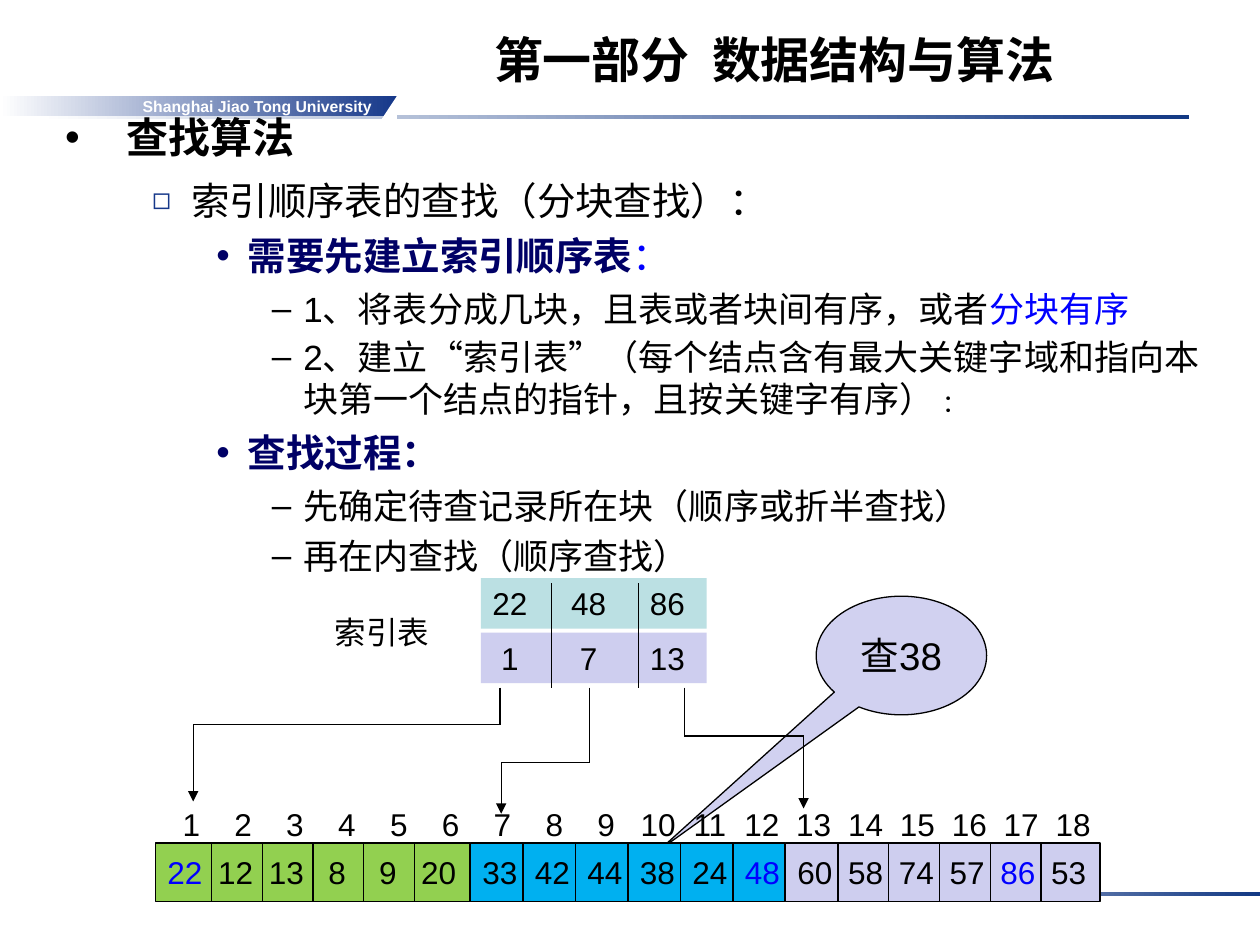
from lxml.etree import SubElement
from pptx import Presentation
from pptx.dml.color import RGBColor
from pptx.enum.shapes import MSO_CONNECTOR, MSO_SHAPE as Shape
from pptx.enum.text import MSO_ANCHOR as Anchor, PP_ALIGN as Align
from pptx.oxml.ns import qn
from pptx.util import Pt

BLACK = RGBColor(0x00, 0x00, 0x00)
WHITE = RGBColor(0xFF, 0xFF, 0xFF)
NAVY = RGBColor(0x16, 0x38, 0x8A)
RULE = RGBColor(0x13, 0x39, 0x84)
INDIGO = RGBColor(0x00, 0x00, 0x66)
BLUE = RGBColor(0x00, 0x00, 0xFF)
GREEN = RGBColor(0x92, 0xD0, 0x50)
SKY = RGBColor(0x00, 0xB0, 0xF0)
LILAC = RGBColor(0xCE, 0xCE, 0xEF)
CALLOUT = RGBColor(0xD1, 0xD1, 0xF0)
TEAL = RGBColor(0xBB, 0xE0, 0xE3)

# Level: left margin, hanging indent, bullet, bullet colour, bullet size %, line spacing
LEVELS = [
    (35.3, 35.3, "•", BLACK, 100, 1.1),
    (72, 22.3, "◻", NAVY, 80, 1.1),
    (104.4, 18, "•", INDIGO, 100, 1.0),
    (136.1, 18, "–", BLACK, 100, 1.0),
]


class SlideBuilder:
    latin = "Arial"
    asian = "Noto Sans CJK SC"
    line_width = Pt(0.75)

    def __init__(self, page):
        self.page = page

    def add_span(self, para, text, size, color=BLACK, bold=False, latin=None):
        span = para.add_run()
        span.text = text
        span.font.size = Pt(size)
        span.font.bold = bold
        span.font.color.rgb = color
        span.font.name = latin or self.latin
        SubElement(span.font._element, qn("a:ea"), typeface=self.asian)

    def frame(self, box, anchor=Anchor.TOP, margins=(7.2, 3.6, 7.2, 3.6), wrap=True):
        frame = box.text_frame
        frame.word_wrap = wrap
        frame.vertical_anchor = anchor
        (frame.margin_left, frame.margin_top,
         frame.margin_right, frame.margin_bottom) = map(Pt, margins)
        return frame

    def text(self, area, anchor=Anchor.TOP, **options):
        box = self.page.shapes.add_textbox(*map(Pt, area))
        return self.frame(box, anchor, **options)

    def shape(self, kind, area, fill, outline=False):
        box = self.page.shapes.add_shape(kind, *map(Pt, area))
        box.shadow.inherit = False
        box.fill.solid()
        box.fill.fore_color.rgb = fill
        if outline:
            box.line.color.rgb = BLACK
            box.line.width = self.line_width
        else:
            box.line.fill.background()
        return box

    def gradient(self, area, color):
        box = self.shape(Shape.RECTANGLE, area, color)
        box.fill.gradient()
        box.fill.gradient_angle = 0
        for stop, shade in zip(box.fill.gradient_stops, (WHITE, color)):
            stop.color.rgb = shade
        return box

    def bullet(self, para, level, before):
        margin, hanging, char, color, size, spacing = LEVELS[level]
        para.level = level
        para.line_spacing = spacing
        para.space_before = Pt(before)
        props = para._p.get_or_add_pPr()
        props.set("marL", str(Pt(margin)))
        props.set("indent", str(-Pt(hanging)))
        SubElement(SubElement(props, qn("a:buClr")), qn("a:srgbClr"), val=str(color))
        SubElement(props, qn("a:buSzPct"), val=str(size * 1000))
        SubElement(props, qn("a:buFont"), typeface=self.latin)
        SubElement(props, qn("a:buChar"), char=char)

    def number_row(self, frame, numbers, first, pitch, marked=()):
        """Centre each number on its own tab stop."""
        para = frame.paragraphs[0]
        para.alignment = Align.LEFT
        tabs = SubElement(para._p.get_or_add_pPr(), qn("a:tabLst"))
        for i, number in enumerate(numbers):
            SubElement(tabs, qn("a:tab"), pos=str(Pt(first + i * pitch)), algn="ctr")
            self.add_span(para, f"\t{number}", 18, BLUE if number in marked else BLACK)

    def line(self, start, end, arrow=False):
        line = self.page.shapes.add_connector(MSO_CONNECTOR.STRAIGHT, *map(Pt, start + end))
        line.line.color.rgb = BLACK
        line.line.width = self.line_width
        if arrow:
            SubElement(line.line._get_or_add_ln(), qn("a:tailEnd"), type="triangle")
        SubElement(line._element.spPr, qn("a:effectLst"))

    def bent_arrow(self, x_start, y_turn, x_end, y_end):
        points = [(x_start, 393), (x_start, y_turn), (x_end, y_turn), (x_end, y_end)]
        for start, end in zip(points, points[1:]):
            self.line(start, end, arrow=end == points[-1])


deck = Presentation()
deck.slide_width, deck.slide_height = Pt(720), Pt(540)
page = deck.slides.add_slide(deck.slide_layouts[6])
build = SlideBuilder(page)

# Header band and rules
build.gradient((22.3, 65.7, 657.4, 2.2), RULE)
build.gradient((380.2, 509.6, 339.8, 2.2), RULE)
band = build.gradient((0, 54.9, 226.8, 11.3), NAVY)
para = build.frame(band, Anchor.MIDDLE, (7.2, 3.6, 14.4, 3.6), wrap=False).paragraphs[0]
para.alignment = Align.RIGHT
build.add_span(para, "Shanghai Jiao Tong University", 9, WHITE, True)
corner = build.shape(Shape.RIGHT_TRIANGLE, (218.2, 54.9, 8.6, 13), WHITE)
corner._element.spPr.xfrm.set("flipH", "1")

# Title
para = build.text((186.5, 0, 512, 54), Anchor.BOTTOM).paragraphs[0]
para.alignment = Align.CENTER
build.add_span(para, "第一部分  数据结构与算法", 28, bold=True)

# Outline: level, space before, spans
OUTLINE = [
    (0, 0, [("查找算法", 24, BLACK, True)]),
    (1, 5.5, [("索引顺序表的查找（分块查找）：", 22)]),
    (2, 5.5, [("需要先建立索引顺序表", 22, INDIGO, True, build.asian), ("：", 22, BLUE)]),
    (3, 5, [("1、将表分成几块，且表或者块间有序，或者", 20), ("分块有序", 20, BLUE)]),
    (3, 3.5, [("2、建立“索引表”（每个结点含有最大关键字域和指向本块第一个结点的指针，"
               "且按关键字有序） ", 20), ("：", 14)]),
    (2, 5.5, [("查找过程：", 22, INDIGO, True, build.asian)]),
    (3, 5, [("先确定待查记录所在块（顺序或折半查找）", 20)]),
    (3, 5, [("再在内查找（顺序查找）", 20)]),
]
body = build.text((30.2, 57.6, 666, 460.8))
for i, (level, before, spans) in enumerate(OUTLINE):
    para = body.add_paragraph() if i else body.paragraphs[0]
    build.bullet(para, level, before)
    for span in spans:
        build.add_span(para, *span)

# Search key callout
callout = build.shape(Shape.OVAL_CALLOUT, (466.4, 340.7, 97.4, 67.8), CALLOUT, outline=True)
callout.adjustments[0], callout.adjustments[1] = -1.42, 1.64
para = build.frame(callout, Anchor.MIDDLE, wrap=False).paragraphs[0]
para.alignment = Align.CENTER
build.add_span(para, "查38", 22)

# Index table: largest keys above block starts
for top, fill, numbers in [(361.6, LILAC, (1, 7, 13)), (330.4, TEAL, (22, 48, 86))]:
    row = build.shape(Shape.RECTANGLE, (274.8, top, 129, 28.8), fill)
    build.number_row(build.frame(row, margins=(0, 3.6, 0, 3.6)), numbers, 16.6, 45)
for x in (315.2, 365):
    build.line((x, 333.4), (x, 393))
label = build.text((184.3, 347, 72.7, 28.8), wrap=False)
build.add_span(label.paragraphs[0], "索引表", 18)

# Pointers from the index to the blocks
build.bent_arrow(285.8, 414, 110.4, 458)
build.bent_arrow(337, 435.6, 286.4, 465)
build.bent_arrow(391, 420.5, 459.2, 462)

# Record positions
positions = build.text((97.9, 456.5, 535, 28.8), margins=(0, 3.6, 0, 3.6))
build.number_row(positions, range(1, 19), 11.4, 29.64)

# Blocks: fill, keys, largest key, first divider, cell pitch
BLOCKS = [
    (GREEN, (22, 12, 13, 8, 9, 20), 22, 32.2, 29),
    (SKY, (33, 42, 44, 38, 24, 48), 48, 30.2, 30),
    (LILAC, (60, 58, 74, 57, 86, 53), 86, 30.2, 29),
]
TOP, HEIGHT, WIDTH = 481.7, 33.3, 180
for i, (fill, keys, largest, divider, pitch) in enumerate(BLOCKS):
    left = 88.7 + i * WIDTH
    block = build.shape(Shape.RECTANGLE, (left, TOP, WIDTH, HEIGHT), fill, outline=True)
    frame = build.frame(block, Anchor.MIDDLE, (0, 3.6, 0, 3.6))
    build.number_row(frame, keys, 17, pitch, marked=(largest,))
    for cell in range(len(keys) - 1):
        x = left + divider + cell * pitch
        build.line((x, TOP), (x, TOP + HEIGHT))

deck.save("out.pptx")
